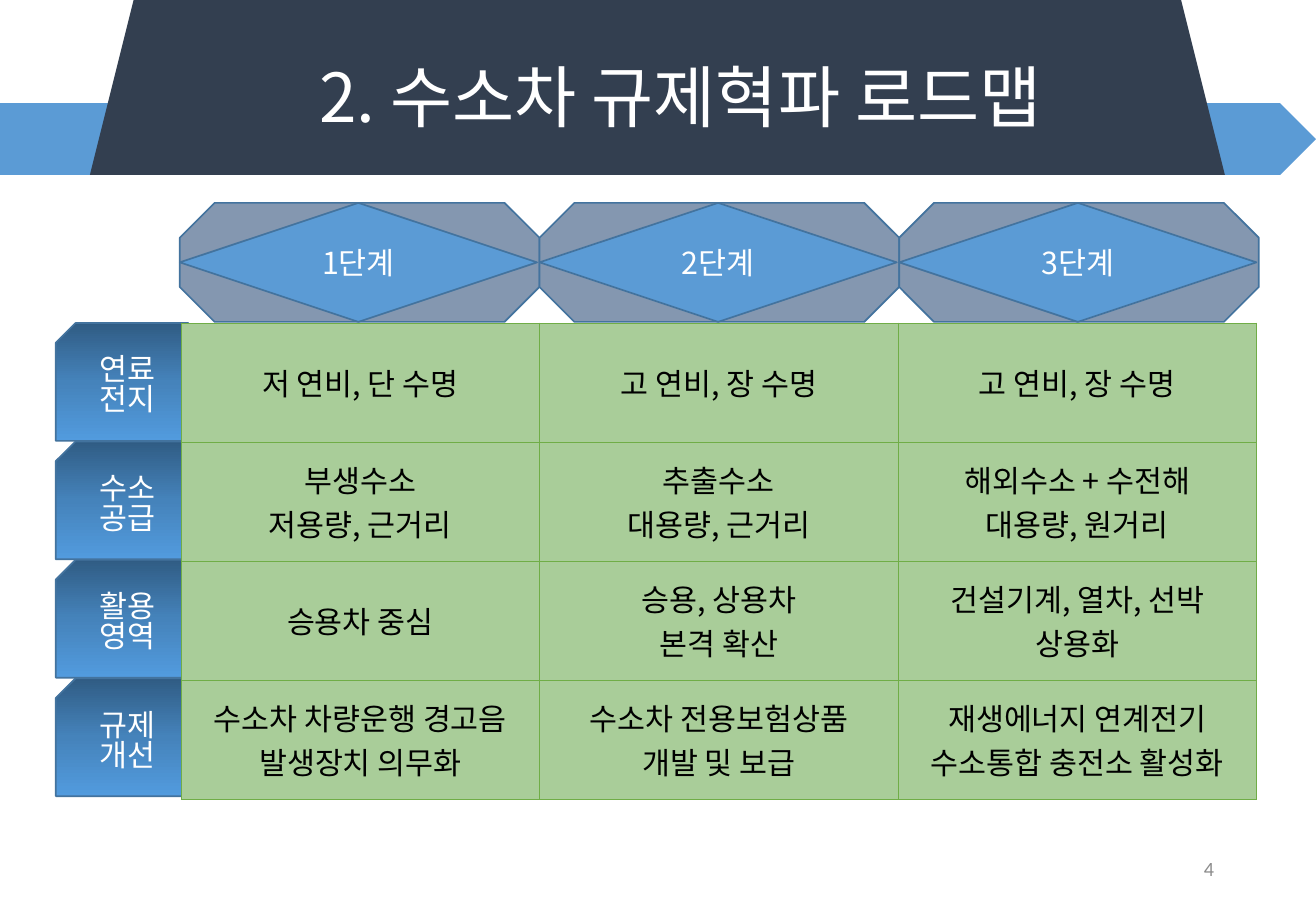
from copy import deepcopy

from lxml.etree import SubElement
from pptx import Presentation
from pptx.dml.color import RGBColor
from pptx.enum.shapes import MSO_SHAPE
from pptx.enum.text import MSO_ANCHOR, PP_ALIGN
from pptx.oxml import parse_xml
from pptx.oxml.ns import nsdecls, qn
from pptx.util import Inches, Pt

TITLE = "2. 수소차 규제혁파 로드맵"
PAGE_NUMBER = "4"
STAGES = ["1단계", "2단계", "3단계"]
# Row label, then one entry for each stage (\v is a line break)
ROADMAP = [
    ("연료\n전지", "저 연비, 단 수명", "고 연비, 장 수명", "고 연비, 장 수명"),
    ("수소\n공급", "부생수소\v저용량, 근거리", "추출수소\v대용량, 근거리",
     "해외수소 + 수전해\v대용량, 원거리"),
    ("활용\n영역", "승용차 중심", "승용, 상용차\v본격 확산",
     "건설기계, 열차, 선박\v상용화"),
    ("규제\n개선", "수소차 차량운행 경고음\v발생장치 의무화",
     "수소차 전용보험상품\v개발 및 보급", "재생에너지 연계전기\v수소통합 충전소 활성화"),
]

FONT = "Noto Sans CJK KR"
WHITE = RGBColor(0xFF, 0xFF, 0xFF)
BLACK = RGBColor(0x00, 0x00, 0x00)
GRAY = RGBColor(0x8C, 0x8C, 0x8C)
NAVY = RGBColor(0x33, 0x3F, 0x50)
BLUE = RGBColor(0x5B, 0x9B, 0xD5)
SLATE = RGBColor(0x84, 0x97, 0xB0)
OUTLINE = RGBColor(0x43, 0x73, 0x9E)
CELL_GREEN = RGBColor(0xA9, 0xCD, 0x99)
BORDER_GREEN = RGBColor(0x70, 0xAD, 0x47)
LABEL_GRADIENT = [
    (0, RGBColor(0x30, 0x5C, 0x84)),
    (0.5, RGBColor(0x45, 0x83, 0xBB)),
    (1, RGBColor(0x52, 0x9B, 0xDE)),
]

SLIDE_WIDTH = 10.83
TABLE_LEFT, TABLE_TOP = 1.49, 2.66
COLUMN_WIDTH, ROW_HEIGHT = 2.95, 0.98
STAGE_LEFT, STAGE_TOP, STAGE_PITCH = 1.48, 1.67, 2.96
LABEL_LEFT, LABEL_WIDTH, LABEL_PITCH = 0.46, 1.09, 0.975


def box(left, top, width, height):
    return [Inches(value) for value in (left, top, width, height)]


def write(text_frame, text, size, color, font=FONT, align=PP_ALIGN.CENTER, spacing=None):
    text_frame.text = text
    text_frame.word_wrap = True
    text_frame.vertical_anchor = MSO_ANCHOR.MIDDLE
    for paragraph in text_frame.paragraphs:
        paragraph.alignment = align
        paragraph.line_spacing = spacing
        paragraph.font.size = Pt(size)
        paragraph.font.color.rgb = color
        paragraph.font.name = font
        # Hangul takes its typeface from the East Asian setting
        properties = paragraph._p.pPr.find(qn("a:defRPr"))
        SubElement(properties, qn("a:ea")).set("typeface", font)


def add_plain_shape(slide, kind, bounds, fill=None, outline=None):
    shape = slide.shapes.add_shape(kind, *box(*bounds))
    shape.shadow.inherit = False
    if fill is not None:
        shape.fill.solid()
        shape.fill.fore_color.rgb = fill
    if outline is None:
        shape.line.fill.background()
    else:
        shape.line.color.rgb = outline
        shape.line.width = Pt(1)
    return shape


def fill_label_gradient(shape):
    shape.fill.gradient()
    shape.fill.gradient_angle = 270
    stop_list = shape._element.spPr.find(".//" + qn("a:gsLst"))
    stop_list.insert(1, deepcopy(stop_list[0]))
    for stop, (position, color) in zip(shape.fill.gradient_stops, LABEL_GRADIENT):
        stop.position = position
        stop.color.rgb = color


def set_cell_borders(cell):
    properties = cell._tc.get_or_add_tcPr()
    for index, side in enumerate(("lnL", "lnR", "lnT", "lnB")):
        properties.insert(index, parse_xml(
            f'<a:{side} {nsdecls("a")} w="{Pt(0.5)}"><a:solidFill>'
            f'<a:srgbClr val="{BORDER_GREEN}"/></a:solidFill></a:{side}>'))


def add_header(slide):
    band = add_plain_shape(slide, MSO_SHAPE.PENTAGON, (0, 0.85, SLIDE_WIDTH, 0.59), BLUE)
    banner = add_plain_shape(slide, MSO_SHAPE.TRAPEZOID, (0.74, -0.01, 9.34, 1.45), NAVY)
    title = slide.shapes.title
    title.left, title.top, title.width, title.height = box(0.93, 0.1, 9.34, 1.45)
    write(title.text_frame, TITLE, 40, WHITE, spacing=0.9)
    # The title stands in front of its banner
    for shape in (banner, band):
        slide.shapes._spTree.insert(2, shape._element)


def add_row_labels(slide):
    for row, (label, *_) in enumerate(ROADMAP):
        top = TABLE_TOP + row * LABEL_PITCH
        shape = add_plain_shape(slide, MSO_SHAPE.SNIP_1_RECTANGLE,
                                (LABEL_LEFT, top, LABEL_WIDTH, 0.97), outline=OUTLINE)
        shape._element.spPr.xfrm.set("flipH", "1")
        fill_label_gradient(shape)
        write(shape.text_frame, label, 18, WHITE, spacing=0.82)


def add_stages(slide):
    for column, stage in enumerate(STAGES):
        left = STAGE_LEFT + column * STAGE_PITCH
        add_plain_shape(slide, MSO_SHAPE.OCTAGON,
                        (left, STAGE_TOP, STAGE_PITCH, 0.98), SLATE, OUTLINE)
        diamond = add_plain_shape(slide, MSO_SHAPE.DIAMOND,
                                  (left, STAGE_TOP, 2.94, 0.98), BLUE, OUTLINE)
        write(diamond.text_frame, stage, 18, WHITE)


def add_roadmap_table(slide):
    rows, columns = len(ROADMAP), len(STAGES)
    table = slide.shapes.add_table(
        rows, columns, *box(TABLE_LEFT, TABLE_TOP, columns * COLUMN_WIDTH,
                            rows * ROW_HEIGHT)).table
    table.first_row = table.horz_banding = False
    for column in table.columns:
        column.width = Inches(COLUMN_WIDTH)
    for row, (_, *entries) in zip(table.rows, ROADMAP):
        row.height = Inches(ROW_HEIGHT)
        for cell, entry in zip(row.cells, entries):
            write(cell.text_frame, entry, 18, BLACK)
            cell.vertical_anchor = MSO_ANCHOR.MIDDLE
            cell.fill.solid()
            cell.fill.fore_color.rgb = CELL_GREEN
            set_cell_borders(cell)


def main():
    presentation = Presentation()
    presentation.slide_width = Inches(SLIDE_WIDTH)
    presentation.slide_height = Inches(7.5)
    slide = presentation.slides.add_slide(presentation.slide_layouts.get_by_name("Title Only"))
    add_header(slide)
    page_number = slide.shapes.add_textbox(*box(7.65, 6.95, 2.44, 0.4))
    write(page_number.text_frame, PAGE_NUMBER, 12, GRAY, "Calibri", PP_ALIGN.RIGHT)
    add_row_labels(slide)
    add_stages(slide)
    add_roadmap_table(slide)
    presentation.save("out.pptx")


if __name__ == "__main__":
    main()
